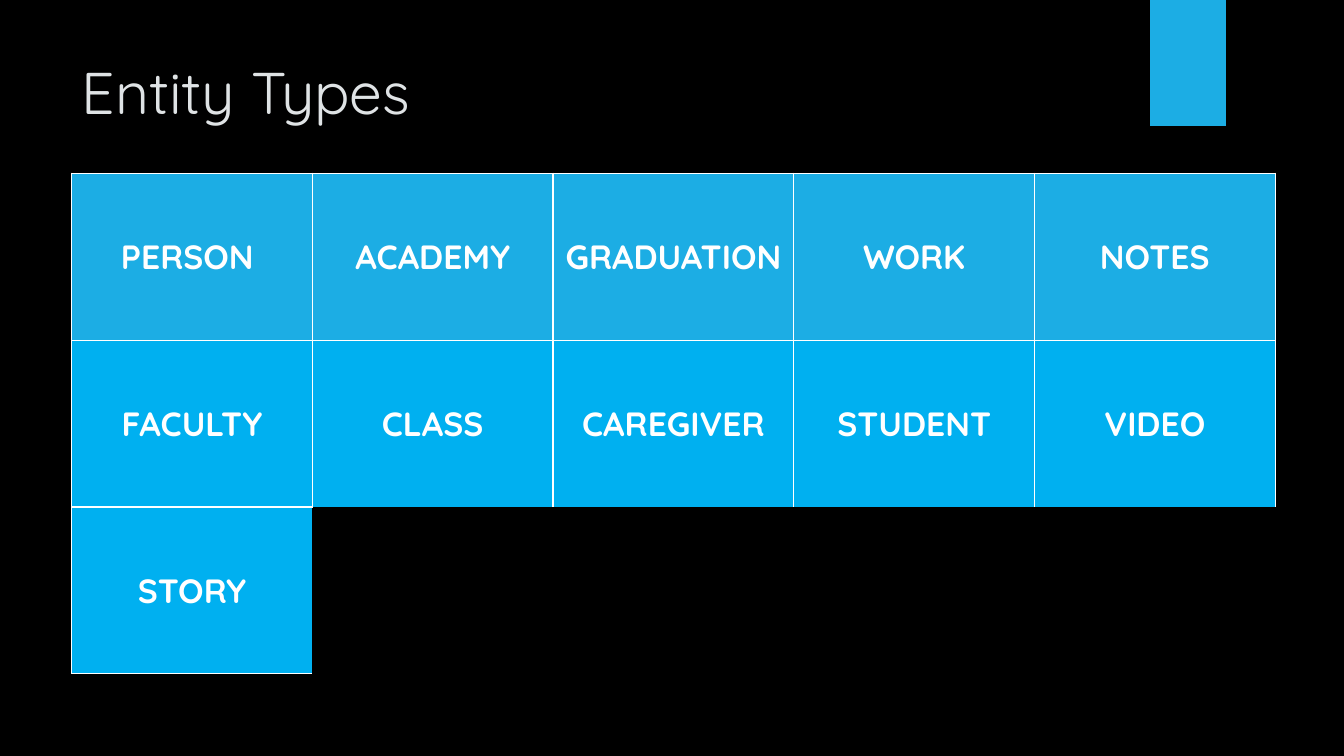
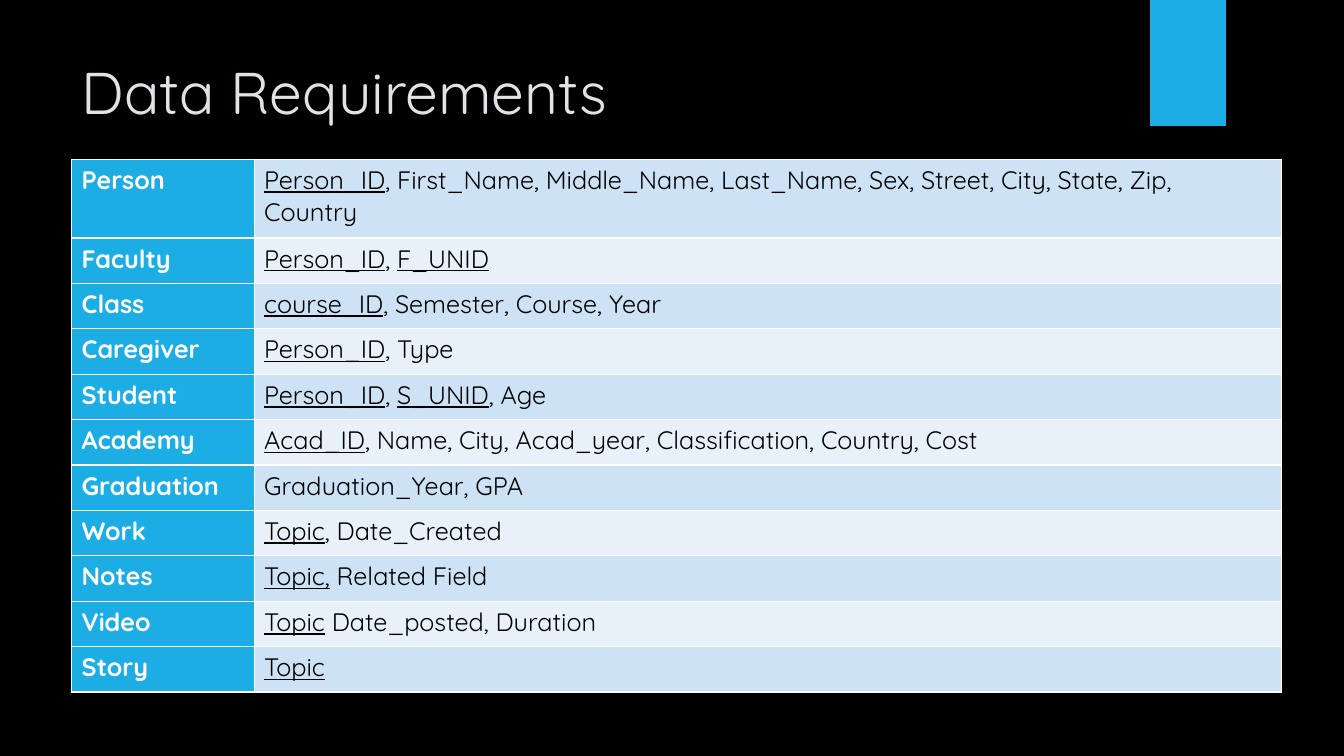
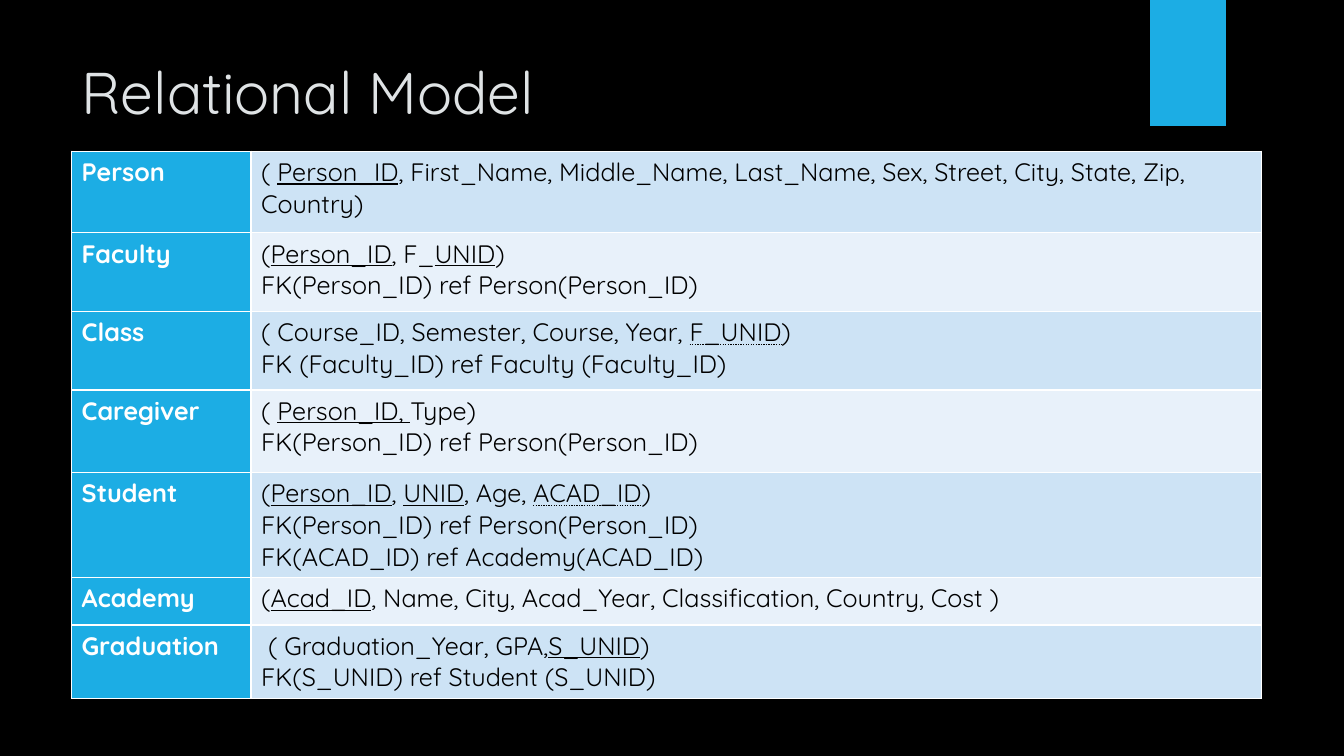
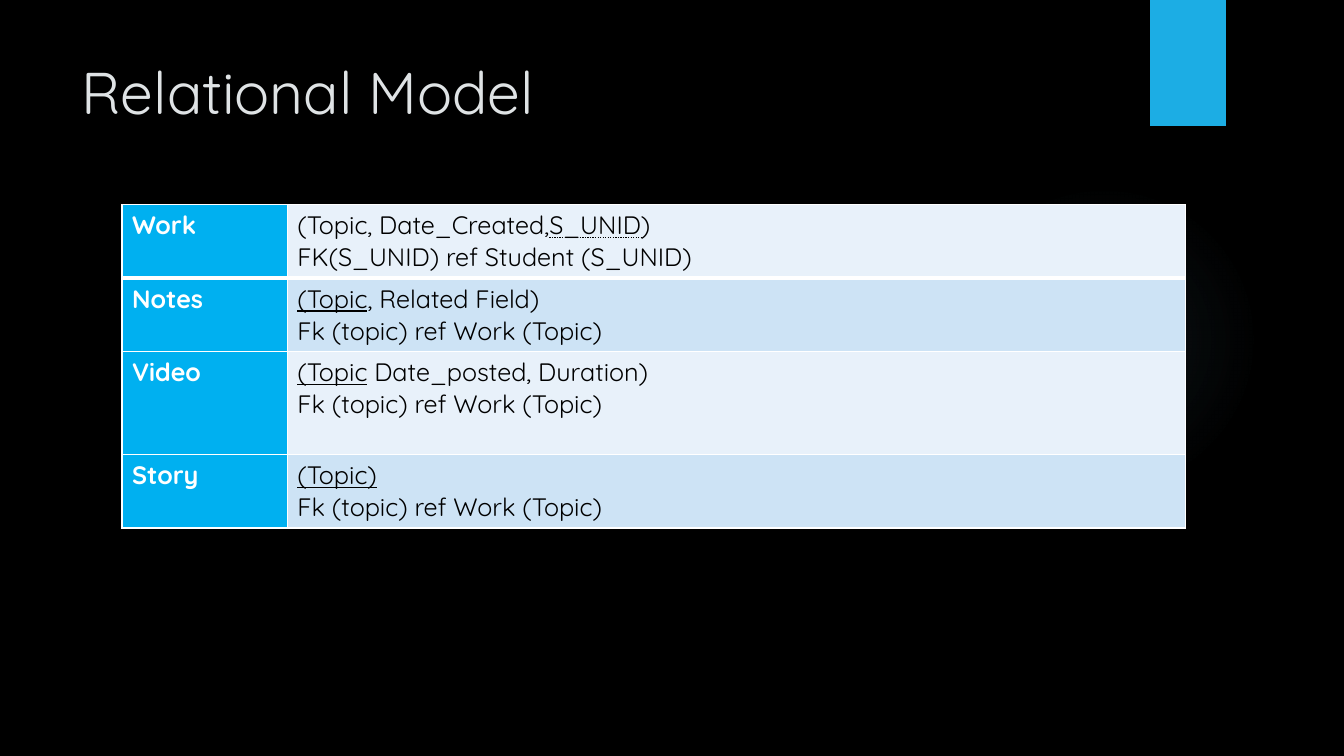
import pptx
import pptx.dml.color
import pptx.enum.shapes
import pptx.enum.text
import pptx.oxml
import pptx.oxml.ns
import pptx.util

# Shared look
WIDTH, HEIGHT = 13.33, 7.5
FONT = "Quicksand"
LEFT = 5.33
COLORS = {
    "back": "000000",
    "title": "DFE3E5",
    "accent": "1CADE4",
    "sky": "00B0F0",
    "band": "CDE3F5",
    "pale": "E8F1FA",
    "white": "FFFFFF",
    "ink": "000000",
    "glow": "70A1C0",
}
TITLE_FORMAT = {"name": FONT, "size": pptx.util.Pt(42), "bold": False, "color": "title"}
ENTITY_FORMAT = {"name": FONT, "size": pptx.util.Pt(24), "bold": True, "color": "white"}
NAME_FORMAT = {**ENTITY_FORMAT, "size": pptx.util.Pt(18)}
FIELD_FORMAT = {**NAME_FORMAT, "bold": False, "color": "ink"}

# Slide content: |key| is underlined, |~key| has a dotted underline
ENTITIES = [
    ["PERSON ", "ACADEMY", "GRADUATION", "WORK", "NOTES"],
    ["FACULTY", "CLASS", "CAREGIVER", "STUDENT", "VIDEO"],
    ["STORY"],
]
REQUIREMENTS = [
    ("Person", "|Person_ID|, First_Name, Middle_Name, Last_Name, Sex, Street, City, State, Zip, Country"),
    ("Faculty", "|Person_ID|, |F_UNID|"),
    ("Class", "|course_ID|, Semester, Course, Year"),
    ("Caregiver", "|Person_ID|, Type"),
    ("Student", "|Person_ID|, |S_UNID|, Age"),
    ("Academy", "|Acad_ID|, Name, City, Acad_year, Classification, Country, Cost"),
    ("Graduation", "Graduation_Year, GPA"),
    ("Work", "|Topic|, Date_Created"),
    ("Notes", "|Topic,| Related Field"),
    ("Video", "|Topic| Date_posted, Duration"),
    ("Story", "|Topic|"),
]
PEOPLE_RELATIONS = [
    ("Person", "( |Person_ID|, First_Name, Middle_Name, Last_Name, Sex, Street, City, State, Zip, Country)"),
    ("Faculty", "(|Person_ID|, F_|UNID|)\nFK(Person_ID) ref Person(Person_ID)"),
    ("Class", "( Course_ID, Semester, Course, Year, |~F_UNID|)\nFK (Faculty_ID) ref Faculty (Faculty_ID)"),
    ("Caregiver", "( |Person_ID, |Type)\nFK(Person_ID) ref Person(Person_ID)"),
    ("Student", "(|Person_ID|, |UNID|, Age, |~ACAD_ID|)\nFK(Person_ID) ref Person(Person_ID)\n"
                "FK(ACAD_ID) ref Academy(ACAD_ID)"),
    ("Academy", "(|Acad_ID|, Name, City, Acad_Year, Classification, Country, Cost )"),
    ("Graduation", " ( Graduation_Year, GPA,|S_UNID|)\nFK(S_UNID) ref Student (S_UNID)"),
]
WORK_RELATIONS = [
    ("Work", "(Topic, Date_Created,|~S_UNID|)\nFK(S_UNID) ref Student (S_UNID)"),
    ("Notes", "|(Topic|, Related Field)\nFk (topic) ref Work (Topic)"),
    ("Video", "|(Topic| Date_posted, Duration)\nFk (topic) ref Work (Topic)"),
    ("Story", "|(Topic)|\nFk (topic) ref Work (Topic)"),
]


# Lengths as percentages of the slide
def across(percent):
    return pptx.util.Inches(WIDTH * percent / 100)


def down(percent):
    return pptx.util.Inches(HEIGHT * percent / 100)


def area(left, top, width, height):
    return across(left), down(top), across(width), down(height)


def color(name):
    return pptx.dml.color.RGBColor.from_string(COLORS[name])


def paint(fill, name):
    fill.solid()
    fill.fore_color.rgb = color(name)


# Text
def style(font, formats):
    for key, value in formats.items():
        if key == "color":
            font.color.rgb = color(value)
        else:
            setattr(font, key, value)


def write(frame, text, formats, align=None):
    underline = pptx.enum.text.MSO_UNDERLINE
    for number, line in enumerate(text.split("\n")):
        para = frame.add_paragraph() if number else frame.paragraphs[0]
        para.alignment = align
        for index, piece in enumerate(line.split("|")):
            if not piece:
                continue
            span = para.add_run()
            span.text = piece.lstrip("~")
            style(span.font, formats)
            if index % 2:
                dotted = piece.startswith("~")
                span.font.underline = underline.DOTTED_LINE if dotted else True


# Shared decoration, kept on the layout
def glow_fill():
    stops = "".join(
        f'<a:gs pos="{position * 1000}"><a:srgbClr val="{COLORS["glow"]}">'
        f'<a:alpha val="{alpha * 1000}"/></a:srgbClr></a:gs>'
        for position, alpha in ((0, 7), (36, 6), (69, 0)))
    return pptx.oxml.parse_xml(
        f'<a:gradFill {pptx.oxml.ns.nsdecls("a")}><a:gsLst>{stops}</a:gsLst>'
        '<a:path path="circle"><a:fillToRect l="50000" t="50000" r="50000" b="50000"/>'
        '</a:path></a:gradFill>')


def decorate(layout, page):
    kinds = pptx.enum.shapes.MSO_SHAPE
    glow = page.shapes.add_shape(kinds.OVAL, *area(70.59, 24.4, 23.1, 41.07))
    glow.fill.background()
    properties = glow.element.spPr
    properties.replace(properties.find(pptx.oxml.ns.qn("a:noFill")), glow_fill())
    tag = page.shapes.add_shape(kinds.RECTANGLE, *area(85.58, 0, 5.63, 16.67))
    paint(tag.fill, "accent")
    for position, shape in enumerate((glow, tag), start=2):
        shape.line.fill.background()
        shape.shadow.inherit = False
        layout.shapes.element.insert(position, shape.element)


def add_page(deck, title):
    page = deck.slides.add_slide(deck.slide_layouts[5])
    box = page.shapes.title
    box.left, box.top, box.width, box.height = area(LEFT, 6.67, 77.2, 20.4)
    settings = {
        "word_wrap": True,
        "auto_size": pptx.enum.text.MSO_AUTO_SIZE.NONE,
        "vertical_anchor": pptx.enum.text.MSO_ANCHOR.TOP,
    }
    for key, value in settings.items():
        setattr(box.text_frame, key, value)
    write(box.text_frame, title, TITLE_FORMAT, pptx.enum.text.PP_ALIGN.LEFT)
    return page


# Tables
def add_grid(page, left, top, columns, rows):
    frame = page.shapes.add_table(
        len(rows), len(columns), *area(left, top, sum(columns), sum(rows)))
    table = frame.table
    table.first_row = table.horz_banding = False
    for column, width in zip(table.columns, columns):
        column.width = across(width)
    for row, height in zip(table.rows, rows):
        row.height = down(height)
    return table


def set_borders(cell, sides, bottom=1):
    """Draw white lines on the named sides and clear the others."""
    properties = cell._tc.get_or_add_tcPr()
    for side in "LRTB":
        points = bottom if side == "B" else 1
        line = (f'<a:solidFill><a:srgbClr val="{COLORS["white"]}"/></a:solidFill>'
                if side in sides else "<a:noFill/>")
        properties.append(pptx.oxml.parse_xml(
            f'<a:ln{side} {pptx.oxml.ns.nsdecls("a")} w="{pptx.util.Pt(points)}">'
            f'{line}</a:ln{side}>'))


def add_entity_table(page):
    table = add_grid(page, LEFT, 22.93, [17.91] * 5, [22.07] * 3)
    for row in range(3):
        for column in range(5):
            cell = table.cell(row, column)
            if column >= len(ENTITIES[row]):
                set_borders(cell, "")
                cell.fill.background()
                continue
            if row == 2:
                sides = "LTB"
            elif row == 1 and column:
                sides = "LRT"
            else:
                sides = "LRTB"
            set_borders(cell, sides)
            paint(cell.fill, "sky" if row else "accent")
            cell.vertical_anchor = pptx.enum.text.MSO_ANCHOR.MIDDLE
            write(cell.text_frame, ENTITIES[row][column], ENTITY_FORMAT,
                  pptx.enum.text.PP_ALIGN.CENTER)


def add_field_table(page, entries, left, top, columns, rows,
                    name_fill="accent", bands=("band", "pale"), first_line=1):
    table = add_grid(page, left, top, columns, rows)
    for row, texts in enumerate(entries):
        fills = name_fill, bands[row % 2]
        formats = NAME_FORMAT, FIELD_FORMAT
        for column, text in enumerate(texts):
            cell = table.cell(row, column)
            set_borders(cell, "LRTB", 1 if row else first_line)
            paint(cell.fill, fills[column])
            write(cell.text_frame, text, formats[column])


def main():
    deck = pptx.Presentation()
    deck.slide_width = pptx.util.Inches(WIDTH)
    deck.slide_height = pptx.util.Inches(HEIGHT)
    paint(deck.slide_master.background.fill, "back")

    page = add_page(deck, "Entity Types")
    decorate(page.slide_layout, page)
    add_entity_table(page)

    page = add_page(deck, "Data Requirements")
    add_field_table(page, REQUIREMENTS, LEFT, 21.07, [13.58, 76.42],
                    [10.4] + [6.01] * 10)

    page = add_page(deck, "Relational Model")
    add_field_table(page, PEOPLE_RELATIONS, LEFT, 20, [13.35, 75.2],
                    [10.8, 10.4, 10.4, 10.93, 13.87, 6.27, 9.73])

    page = add_page(deck, "Relational Model")
    add_field_table(page, WORK_RELATIONS, 9.08, 27.07, [12.3, 66.8],
                    [9.73, 9.73, 13.6, 9.73], "sky", ("pale", "band"), first_line=3)

    deck.save("out.pptx")


if __name__ == "__main__":
    main()
